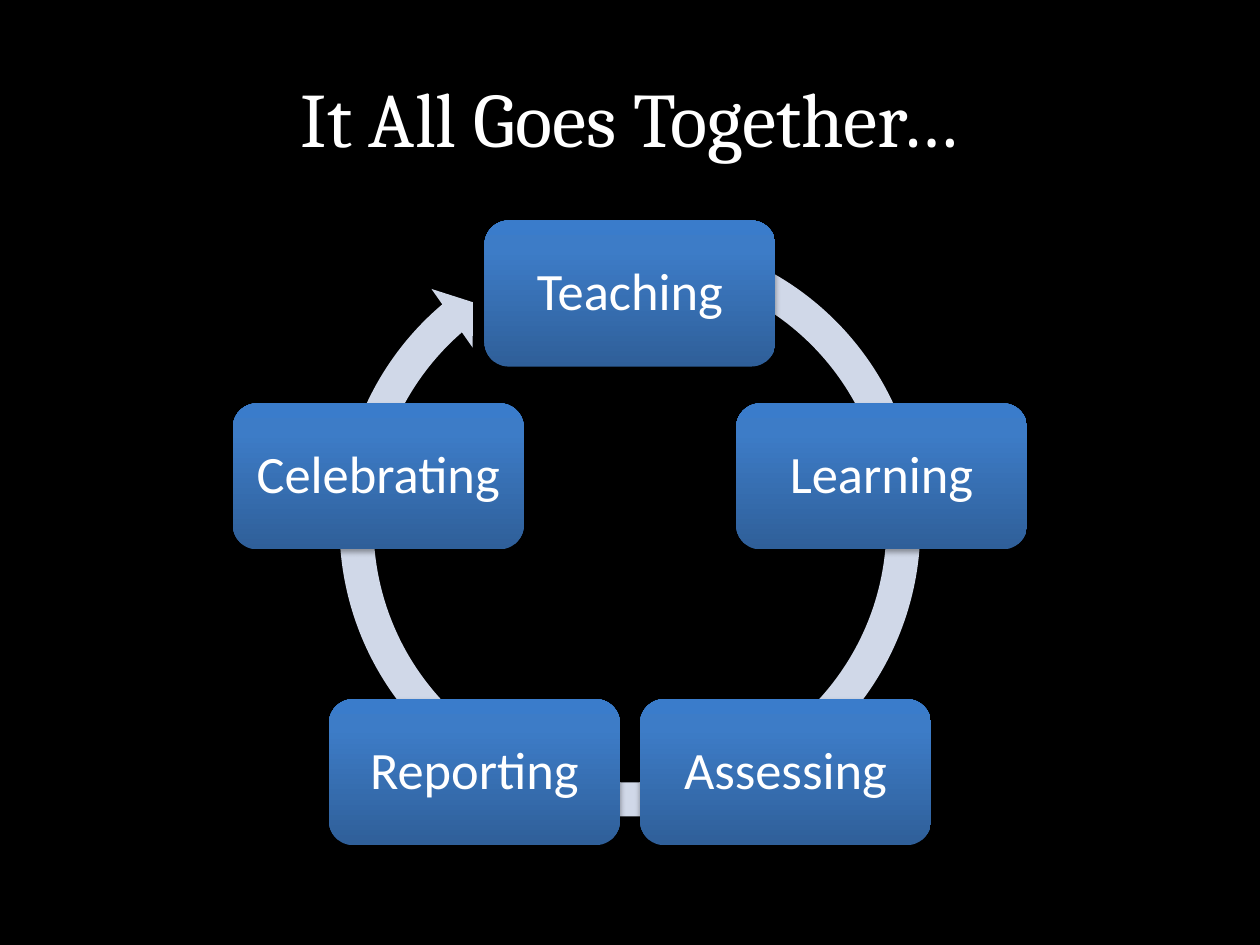
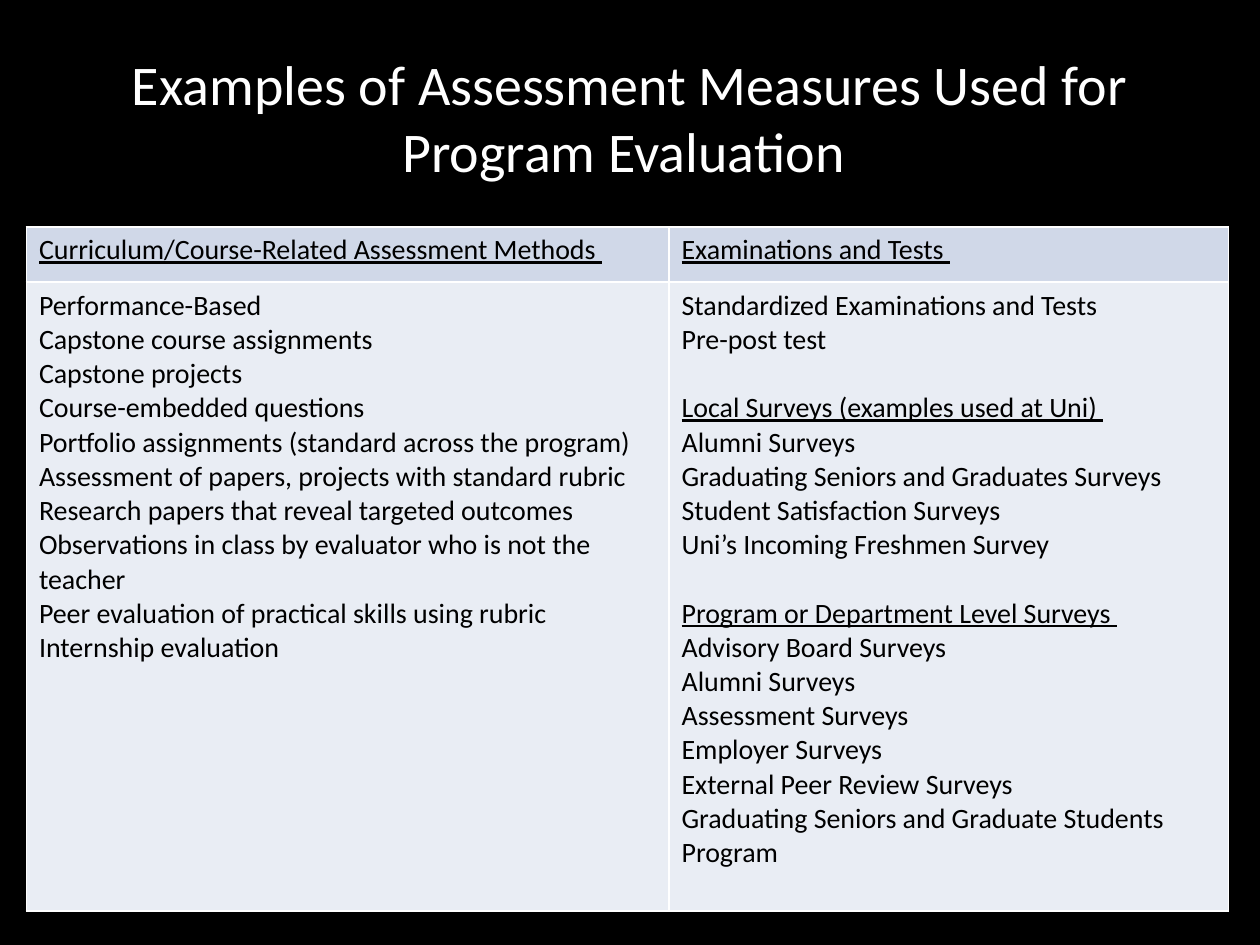
from copy import deepcopy
from dataclasses import dataclass
from math import cos, pi, sin

from lxml import etree
from pptx import Presentation
from pptx.dml.color import RGBColor
from pptx.enum.shapes import MSO_SHAPE
from pptx.enum.text import MSO_ANCHOR, PP_ALIGN
from pptx.oxml.ns import qn
from pptx.util import Inches, Pt

BLACK = RGBColor(0x00, 0x00, 0x00)
WHITE = RGBColor(0xFF, 0xFF, 0xFF)
PALE_BLUE = RGBColor(0xD0, 0xD8, 0xE8)
PALEST_BLUE = RGBColor(0xE9, 0xED, 0xF4)
BOX_GRADIENT = (
    (0, RGBColor(0x2F, 0x5F, 0x99)),
    (0.8, RGBColor(0x3D, 0x7C, 0xC7)),
    (1, RGBColor(0x3A, 0x7C, 0xCB)),
)

CENTER = PP_ALIGN.CENTER
MIDDLE = MSO_ANCHOR.MIDDLE
ROUNDED_BOX = MSO_SHAPE.ROUNDED_RECTANGLE
CIRCULAR_ARROW = MSO_SHAPE.CIRCULAR_ARROW
BODY_FONT = "Calibri"
TITLE_FONT = "Cambria"

STAGES = ("Teaching", "Learning", "Assessing", "Reporting", "Celebrating")
CYCLE_CENTER_X, CYCLE_CENTER_Y, CYCLE_RADIUS = 5, 4.43, 2.1
BOX_WIDTH, BOX_HEIGHT = 2.31, 1.16
RING_SIZE = 4.91
RING_TOP = 1.72
RING_ADJUSTMENTS = (0.055, 3.307, 137.657, 173.922, 0.058)

COLUMN_WIDTHS = (5.1, 4.44)
ROW_HEIGHTS = (0.44, 4.99)
TABLE_LINE_HEIGHT = 19.5


@dataclass(frozen=True)
class Measures:
    """A list of measures, with a heading unless the row above holds it."""
    items: tuple[str, ...]
    heading: str = ""


@dataclass(frozen=True)
class MeasureColumn:
    header: str
    groups: tuple[Measures, ...]


MEASURE_COLUMNS = (
    MeasureColumn("Curriculum/Course-Related Assessment Methods ", (
        Measures((
            "Performance-Based",
            "Capstone course assignments",
            "Capstone projects",
            "Course-embedded questions",
            "Portfolio assignments (standard across the program)",
            "Assessment of papers, projects with standard rubric",
            "Research papers that reveal targeted outcomes",
            "Observations in class by evaluator who is not the teacher",
            "Peer evaluation of practical skills using rubric",
            "Internship evaluation",
        )),
    )),
    MeasureColumn("Examinations and Tests ", (
        Measures(("Standardized Examinations and Tests", "Pre-post test")),
        Measures((
            "Alumni Surveys",
            "Graduating Seniors and Graduates Surveys",
            "Student Satisfaction Surveys",
            "Uni’s Incoming Freshmen Survey",
        ), "Local Surveys (examples used at Uni) "),
        Measures((
            "Advisory Board Surveys",
            "Alumni Surveys",
            "Assessment Surveys",
            "Employer Surveys",
            "External Peer Review Surveys",
            "Graduating Seniors and Graduate Students Program",
        ), "Program or Department Level Surveys "),
    )),
)


def set_values(target, values: dict) -> None:
    for name, value in values.items():
        setattr(target, name, value)


def write(paragraph, text: str, color: RGBColor, **font_values) -> None:
    run = paragraph.add_run()
    run.text = text
    set_values(run.font, {"name": BODY_FONT, **font_values})
    run.font.color.rgb = color


def add_slide(presentation, title: str, **title_font):
    """Add a black slide with a centred white title."""
    slide = presentation.slides.add_slide(presentation.slide_layouts[6])
    slide.background.fill.solid()
    slide.background.fill.fore_color.rgb = BLACK
    box = slide.shapes.add_textbox(Inches(0.5), Inches(0.3), Inches(9), Inches(1.25))
    set_values(box.text_frame, {"word_wrap": True, "vertical_anchor": MIDDLE})
    paragraph = box.text_frame.paragraphs[0]
    paragraph.alignment = CENTER
    write(paragraph, title, WHITE, **title_font)
    return slide


def add_shadow(shape) -> None:
    shape.shadow.inherit = False
    effects = shape._element.spPr.find(qn("a:effectLst"))
    shadow = etree.SubElement(
        effects, qn("a:outerShdw"), blurRad=str(Pt(3.1)), dist=str(Pt(1.8)),
        dir="5400000", rotWithShape="0")
    color = etree.SubElement(shadow, qn("a:srgbClr"), val=str(BLACK))
    etree.SubElement(color, qn("a:alpha"), val="35000")


def fill_box(shape) -> None:
    """Shade from dark at the bottom to light at the top."""
    shape.fill.gradient()
    shape.fill.gradient_angle = 90
    stop_list = next(shape._element.spPr.iter(qn("a:gsLst")))
    stop_list.append(deepcopy(stop_list[-1]))
    for stop, (position, color) in zip(shape.fill.gradient_stops, BOX_GRADIENT):
        stop.position = position
        stop.color.rgb = color


def add_ring(slide) -> None:
    ring = slide.shapes.add_shape(
        CIRCULAR_ARROW, Inches(CYCLE_CENTER_X - RING_SIZE / 2), Inches(RING_TOP),
        Inches(RING_SIZE), Inches(RING_SIZE))
    for index, value in enumerate(RING_ADJUSTMENTS):
        ring.adjustments[index] = value
    ring.fill.solid()
    ring.fill.fore_color.rgb = PALE_BLUE
    ring.line.fill.background()
    add_shadow(ring)


def add_stage(slide, stage: str, angle: float) -> None:
    """Add a box on the ring, at an angle clockwise from the top."""
    left = CYCLE_CENTER_X + CYCLE_RADIUS * sin(angle) - BOX_WIDTH / 2
    top = CYCLE_CENTER_Y - CYCLE_RADIUS * cos(angle) - BOX_HEIGHT / 2
    box = slide.shapes.add_shape(
        ROUNDED_BOX, Inches(left), Inches(top), Inches(BOX_WIDTH), Inches(BOX_HEIGHT))
    fill_box(box)
    box.line.fill.background()
    add_shadow(box)
    margin = Inches(0.12)
    set_values(box.text_frame, {
        "word_wrap": True, "vertical_anchor": MIDDLE, "margin_left": margin,
        "margin_right": margin, "margin_top": margin, "margin_bottom": margin})
    paragraph = box.text_frame.paragraphs[0]
    set_values(paragraph, {"alignment": CENTER, "line_spacing": 0.9})
    write(paragraph, stage, WHITE, size=Pt(30))


def style_cell(cell, color: RGBColor) -> None:
    properties = cell._tc.get_or_add_tcPr()
    for side in ("lnL", "lnR", "lnT", "lnB"):
        border = etree.SubElement(properties, qn(f"a:{side}"), w=str(Pt(1)))
        border_fill = etree.SubElement(border, qn("a:solidFill"))
        etree.SubElement(border_fill, qn("a:srgbClr"), val=str(WHITE))
    cell.fill.solid()
    cell.fill.fore_color.rgb = color


def write_groups(text_frame, groups: tuple[Measures, ...]) -> None:
    """Write the groups below each other, a line's height apart."""
    paragraph = None
    for group in groups:
        lines = [(item, False) for item in group.items]
        if group.heading:
            lines.insert(0, (group.heading, True))
        for text, is_heading in lines:
            paragraph = text_frame.add_paragraph() if paragraph else text_frame.paragraphs[0]
            if is_heading:
                paragraph.space_before = Pt(TABLE_LINE_HEIGHT)
            write(paragraph, text, BLACK, size=Pt(16), underline=is_heading)


def add_measures_table(slide) -> None:
    table = slide.shapes.add_table(
        len(ROW_HEIGHTS), len(COLUMN_WIDTHS), Inches(0.21), Inches(1.8),
        Inches(sum(COLUMN_WIDTHS)), Inches(sum(ROW_HEIGHTS))).table
    set_values(table, {"first_row": False, "horz_banding": False})
    for row, height in zip(table.rows, ROW_HEIGHTS):
        row.height = Inches(height)
    for index, (column, width) in enumerate(zip(MEASURE_COLUMNS, COLUMN_WIDTHS)):
        table.columns[index].width = Inches(width)
        header, body = table.cell(0, index), table.cell(1, index)
        style_cell(header, PALE_BLUE)
        style_cell(body, PALEST_BLUE)
        write(header.text_frame.paragraphs[0], column.header, BLACK,
              size=Pt(16), underline=True)
        write_groups(body.text_frame, column.groups)


def main() -> None:
    presentation = Presentation()
    presentation.slide_width = Inches(10)
    presentation.slide_height = Inches(7.5)

    cycle_slide = add_slide(
        presentation, "It All Goes Together…", name=TITLE_FONT, size=Pt(44))
    add_ring(cycle_slide)
    for index, stage in enumerate(STAGES):
        add_stage(cycle_slide, stage, 2 * pi * index / len(STAGES))

    measures_slide = add_slide(
        presentation, "Examples of Assessment Measures Used for Program Evaluation ",
        size=Pt(32))
    add_measures_table(measures_slide)

    presentation.save("out.pptx")


if __name__ == "__main__":
    main()
